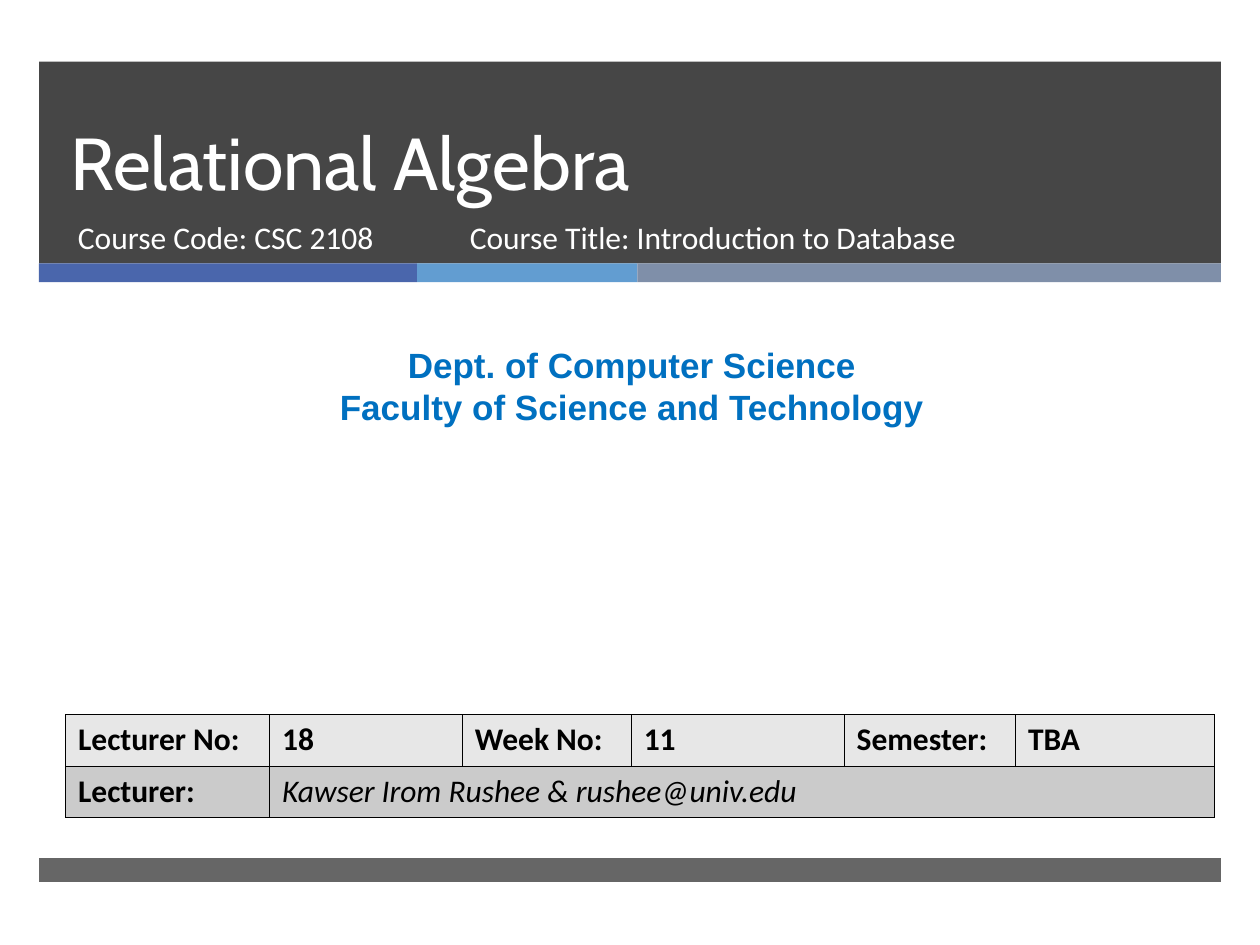
"""Build the title slide of a lecture on relational algebra."""
import lxml.etree
import pptx
import pptx.dml.color
import pptx.enum.shapes
import pptx.enum.text
import pptx.oxml.ns
import pptx.util

Inches = pptx.util.Inches
Pt = pptx.util.Pt
ALIGN = pptx.enum.text.PP_ALIGN
ANCHOR = pptx.enum.text.MSO_ANCHOR
COLORS = {
    "dark": "262626", "navy": "4A66AC", "sky": "629DD1", "slate": "7F8FA9",
    "white": "FFFFFF", "blue": "0070C0", "black": "000000",
    "light": "E7E7E7", "gray": "CBCBCB",
}
LEFT, WIDTH = 0.31, 9.38


def color(name):
    return pptx.dml.color.RGBColor.from_string(COLORS[name])


def add_node(parent, tag, **attrs):
    return lxml.etree.SubElement(parent, pptx.oxml.ns.qn(tag), attrs)


def add_bar(slide, left, top, width, height, tint, alpha=100):
    kind = pptx.enum.shapes.MSO_SHAPE.RECTANGLE
    bar = slide.shapes.add_shape(
        kind, Inches(left), Inches(top), Inches(width), Inches(height))
    bar.shadow.inherit = False
    bar.line.fill.background()
    bar.fill.solid()
    bar.fill.fore_color.rgb = color(tint)
    if alpha < 100:
        for node in bar.fill._xPr.iter(pptx.oxml.ns.qn("a:srgbClr")):
            add_node(node, "a:alpha", val=str(alpha * 1000))


def style(frame, font, size, tint, bold=False, italic=False, align=ALIGN.LEFT):
    for para in frame.paragraphs:
        para.alignment = align
        for run in para.runs:
            run.font.name = font
            run.font.size = Pt(size)
            run.font.bold = bold
            run.font.italic = italic
            run.font.color.rgb = color(tint)


def add_text(slide, box, text, font, size, tint, **looks):
    frame = slide.shapes.add_textbox(*map(Inches, box)).text_frame
    frame.word_wrap = True
    frame.text = text
    style(frame, font, size, tint, **looks)
    return frame


def add_edges(cell):
    props = cell._tc.get_or_add_tcPr()
    for side in "LRTB":
        edge = add_node(props, "a:ln" + side, w=str(Pt(0.45)))
        fill = add_node(edge, "a:solidFill")
        add_node(fill, "a:srgbClr", val=COLORS["black"])


def add_grid(slide, left, top, widths, height, rows, tints):
    grid = slide.shapes.add_table(
        len(rows), len(widths), Inches(left), Inches(top),
        Inches(sum(widths)), Inches(height * len(rows))).table
    for col, width in zip(grid.columns, widths):
        col.width = Inches(width)
    for r, (texts, tint) in enumerate(zip(rows, tints)):
        grid.rows[r].height = Inches(height)
        for c in range(len(widths)):
            cell = grid.cell(r, c)
            add_edges(cell)
            cell.fill.solid()
            cell.fill.fore_color.rgb = color(tint)
            if c < len(texts):
                cell.text_frame.text = texts[c]
                name = r == 1 and c == 1
                style(cell.text_frame, "Calibri", 18, "black",
                      bold=not name, italic=name)
        if len(texts) < len(widths):
            grid.cell(r, len(texts) - 1).merge(grid.cell(r, len(widths) - 1))


def main():
    deck = pptx.Presentation()
    deck.slide_width, deck.slide_height = Inches(10), Inches(7.5)
    slide = deck.slides.add_slide(deck.slide_layouts[6])

    add_bar(slide, LEFT, 0.49, WIDTH, 1.6, "dark", 85)
    left = LEFT
    for width, tint in ((3, "navy"), (1.75, "sky"), (4.63, "slate")):
        add_bar(slide, left, 2.09, width, 0.15, tint)
        left += width
    add_bar(slide, LEFT, 6.81, WIDTH, 0.19, "dark", 70)

    title = add_text(slide, (0.46, 0.49, 8.54, 1.19), "Relational Algebra",
                     "Cabin", 42, "white")
    title.vertical_anchor = ANCHOR.BOTTOM
    title.paragraphs[0].line_spacing = Pt(46)
    add_text(slide, (0.52, 1.68, 3.05, 0.53), "Course Code: CSC 2108",
             "Calibri", 18, "white")
    add_text(slide, (3.63, 1.68, 4.55, 0.53),
             "Course Title: Introduction to Database", "Calibri", 18, "white")
    add_text(slide, (0.08, 2.68, 9.87, 0.77),
             "Dept. of Computer Science\nFaculty of Science and Technology",
             "Arial", 20, "blue", bold=True, align=ALIGN.CENTER)

    rows = (
        ("Lecturer No:", "18", "Week No:", "11", "Semester:", "TBA"),
        ("Lecturer:", "Kawser Irom Rushee & rushee@univ.edu"),
    )
    add_grid(slide, 0.52, 5.67, (1.62, 1.53, 1.34, 1.69, 1.36, 1.58), 0.41,
             rows, ("light", "gray"))
    deck.save("out.pptx")


main()
